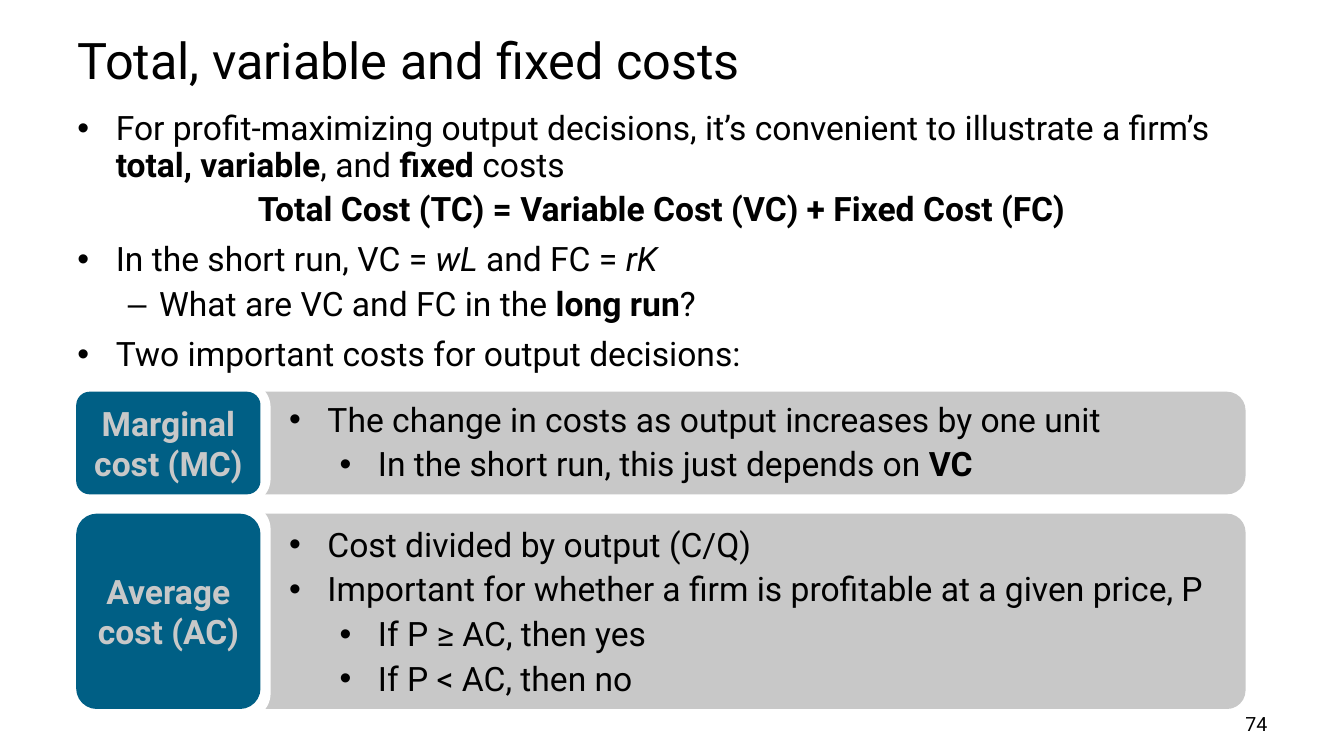
from dataclasses import dataclass

import lxml.etree
import pptx
import pptx.dml.color
import pptx.enum.shapes
import pptx.enum.text
import pptx.oxml.ns
import pptx.util

EMU_PER_PX = 9144
FONT = "Roboto"
COLORS = {"text": "000000", "panel": "C8C8C8", "halo": "FFFFFF", "label": "005F85"}
ALIGN = pptx.enum.text.PP_ALIGN
ANCHOR = pptx.enum.text.MSO_ANCHOR


@dataclass(frozen=True)
class Span:
    text: str
    bold: bool = False
    italic: bool = False


@dataclass(frozen=True)
class Para:
    spans: tuple[Span, ...]
    bullet: str = ""
    level: int = 0
    margin: int = 38
    hanging: int = 38
    after: int = 6
    align: ALIGN = ALIGN.LEFT


@dataclass(frozen=True)
class TextBlock:
    top: int
    height: int
    paras: tuple[Para, ...]


@dataclass(frozen=True)
class CostCard:
    label: str
    top: int
    height: int
    label_radius: int
    body: TextBlock


def px(length: int) -> int:
    return length * EMU_PER_PX


def color(name: str) -> pptx.dml.color.RGBColor:
    return pptx.dml.color.RGBColor.from_string(COLORS[name])


def point(*spans: Span, level: int = 0) -> Para:
    return Para(spans, "•", level, 38 + 50 * level)


def add_span(para, span: Span, size: int = 24, ink: str = "text") -> None:
    run = para.add_run()
    run.text = span.text
    run.font.name = FONT
    run.font.size = pptx.util.Pt(size)
    run.font.bold = span.bold
    run.font.italic = span.italic
    run.font.color.rgb = color(ink)


def add_box(page, left: int, top: int, width: int, height: int):
    box = page.shapes.add_textbox(px(left), px(top), px(width), px(height))
    box.text_frame.word_wrap = True
    return box.text_frame


def add_line(page, left: int, top: int, width: int, height: int,
             text: str, size: int, align: ALIGN, anchor: ANCHOR) -> None:
    frame = add_box(page, left, top, width, height)
    frame.vertical_anchor = anchor
    frame.paragraphs[0].alignment = align
    add_span(frame.paragraphs[0], Span(text), size)


def add_block(page, block: TextBlock, left: int, width: int) -> None:
    frame = add_box(page, left, block.top, width, block.height)
    for index, item in enumerate(block.paras):
        para = frame.add_paragraph() if index else frame.paragraphs[0]
        para.level = item.level
        para.alignment = item.align
        para.line_spacing = 0.9
        para.space_after = pptx.util.Pt(item.after)
        properties = para._p.get_or_add_pPr()
        properties.set("marL", str(px(item.margin)))
        properties.set("indent", str(px(-item.hanging)))
        if item.bullet:
            font = lxml.etree.SubElement(properties, pptx.oxml.ns.qn("a:buFont"))
            font.set("typeface", "Arial")
            mark = lxml.etree.SubElement(properties, pptx.oxml.ns.qn("a:buChar"))
            mark.set("char", item.bullet)
        for span in item.spans:
            add_span(para, span)


def add_round_box(page, left: int, top: int, width: int, height: int,
                  radius: int, fill: str):
    shape = page.shapes.add_shape(pptx.enum.shapes.MSO_SHAPE.ROUNDED_RECTANGLE,
                                  px(left), px(top), px(width), px(height))
    shape.adjustments[0] = radius / min(width, height)
    shape.shadow.inherit = False
    shape.fill.solid()
    shape.fill.fore_color.rgb = color(fill)
    shape.line.color.rgb = color(fill)
    shape.line.width = pptx.util.Pt(2)
    return shape


def add_card(page, card: CostCard) -> None:
    add_round_box(page, 218, card.top, 1016, card.height, 17, "panel")
    add_round_box(page, 67, card.top - 10, 200, card.height + 20, 24, "halo")
    label = add_round_box(page, 77, card.top, 180, card.height, card.label_radius, "label")
    frame = label.text_frame
    frame.word_wrap = True
    frame.vertical_anchor = ANCHOR.MIDDLE
    frame.paragraphs[0].alignment = ALIGN.CENTER
    add_span(frame.paragraphs[0], Span(card.label, bold=True), ink="panel")
    add_block(page, card.body, 277, 937)


BLOCKS = (
    TextBlock(106, 128, (
        point(Span("For profit-maximizing output decisions, it’s convenient to illustrate a firm’s "),
              Span("total, variable", bold=True), Span(", and "),
              Span("fixed ", bold=True), Span("costs")),
        Para((Span("Total Cost (TC) = Variable Cost (VC) + Fixed Cost (FC)", bold=True),),
             align=ALIGN.CENTER),
    )),
    TextBlock(236, 91, (
        point(Span("In the short run, VC = "), Span("wL", italic=True),
              Span(" and FC = "), Span("rK", italic=True)),
        Para((Span("What are VC and FC in the "), Span("long run", bold=True), Span("?")),
             "–", level=1, margin=81, hanging=31),
    )),
    TextBlock(330, 46, (
        Para((Span("Two important costs for output decisions:"),), "•", after=12),
    )),
)

CARDS = (
    CostCard("Average cost (AC)", 511, 191, 19, TextBlock(519, 181, (
        point(Span("Cost divided by output (C/Q)")),
        point(Span("Important for whether a firm is profitable at a given price, P")),
        point(Span("If P ≥ AC, then yes"), level=1),
        point(Span("If P < AC, then no"), level=1),
    ))),
    CostCard("Marginal cost (MC)", 390, 99, 12, TextBlock(395, 91, (
        point(Span("The change in costs as output increases by one unit")),
        point(Span("In the short run, this just depends on "), Span("VC", bold=True), level=1),
    ))),
)


def main() -> None:
    deck = pptx.Presentation()
    deck.slide_width = px(1333)
    deck.slide_height = px(750)
    page = deck.slides.add_slide(deck.slide_layouts[6])
    add_line(page, 67, 23, 1200, 71, "Total, variable and fixed costs", 36,
             ALIGN.LEFT, ANCHOR.MIDDLE)
    add_line(page, 956, 701, 311, 34, "74", 14, ALIGN.RIGHT, ANCHOR.TOP)
    for block in BLOCKS:
        add_block(page, block, 67, 1178)
    for card in CARDS:
        add_card(page, card)
    deck.save("out.pptx")


if __name__ == "__main__":
    main()
